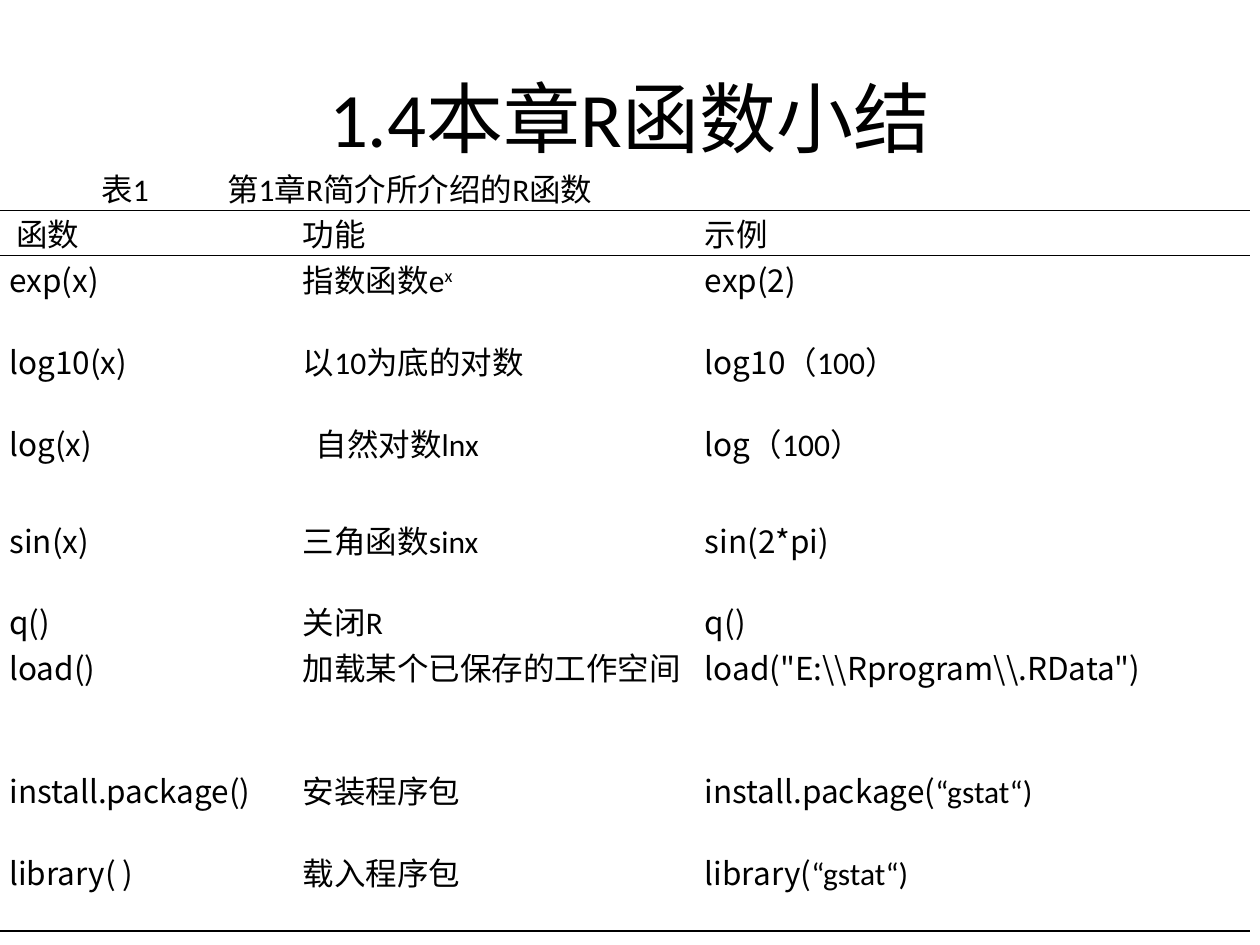
from dataclasses import dataclass

from lxml import etree
from pptx import Presentation
from pptx.dml.color import RGBColor
from pptx.enum.text import MSO_ANCHOR, PP_ALIGN
from pptx.oxml.ns import qn
from pptx.util import Inches, Pt

CENTER = PP_ALIGN.CENTER
MIDDLE = MSO_ANCHOR.MIDDLE
BODY = "Calibri"
CODE = "Noto Sans CJK SC"
BLACK = "000000"
COLUMN_WIDTHS = (2.33, 3.19, 4.4)
SIDE_MARGIN = Pt(5.4)
CAPTION_GAP = 40.7


@dataclass(frozen=True)
class Span:
    text: str
    font: str = BODY
    superscript: bool = False
    spacing: float = 0


@dataclass(frozen=True)
class Entry:
    spans: tuple[Span, ...] = ()
    indent: float = 0


@dataclass(frozen=True)
class Row:
    height: float
    entries: tuple[Entry, ...]


def code(text: str, tail: str = "") -> Entry:
    spans = (Span(text, CODE),)
    return Entry(spans + (Span(tail),) if tail else spans)


def body(text: str, indent: float = 0) -> Entry:
    return Entry((Span(text),), indent)


CAPTION = Entry((Span("表1"), Span(" ", spacing=CAPTION_GAP),
                 Span("第1章R简介所介绍的R函数")), 0.73)
ROWS = (
    Row(0.36, (CAPTION, Entry(), Entry())),
    Row(0.36, (Entry((Span(" ", CODE), Span("函数"))), body("功能"), body("示例"))),
    Row(0.65, (code("exp(x)"),
               Entry((Span("指数函数e"), Span("x", superscript=True))),
               code("exp(2)"))),
    Row(0.65, (code("log10(x)"), body("以10为底的对数"), code("log10", "（100）"))),
    Row(0.41, (code("log(x)"), body("自然对数lnx", 0.1), code("log", "（100）"))),
    Row(0.36, (Entry(), Entry(), Entry())),
    Row(0.65, (code("sin(x)"), body("三角函数sinx"), code("sin(2*pi)"))),
    Row(0.36, (code("q()"), body("关闭R"), code("q()"))),
    Row(0.98, (code("load()"), body("加载某个已保存的工作空间"),
               code('load("E:\\\\Rprogram\\\\.RData")'))),
    Row(0.65, (code("install.package()"), body("安装程序包"),
               code("install.package(", "“gstat“)"))),
    Row(0.65, (code("library( )"), body("载入程序包"), code("library(", "“gstat“)"))),
)
RULED_EDGES = {1, 2, len(ROWS)}


def color(value: str) -> RGBColor:
    return RGBColor.from_string(value)


def write_entry(para, entry: Entry, size: float) -> None:
    para.font.size = Pt(size)
    para.font.color.rgb = color(BLACK)
    fonts = {span.font for span in entry.spans}
    if len(fonts) == 1:
        para.font.name = fonts.pop()
    for item in entry.spans:
        span = para.add_run()
        span.text = item.text
        if fonts:
            span.font.name = item.font
        if item.superscript:
            span._r.get_or_add_rPr().set("baseline", "30000")
        if item.spacing:
            span._r.get_or_add_rPr().set("spc", str(round(item.spacing * 100)))
    if entry.indent:
        properties = para._p.get_or_add_pPr()
        properties.set("marL", "0")
        properties.set("indent", str(Inches(entry.indent)))


def set_borders(cell, top: bool, bottom: bool) -> None:
    properties = cell._tc.get_or_add_tcPr()
    edges = (("lnL", False), ("lnR", False), ("lnT", top), ("lnB", bottom))
    for index, (edge, ruled) in enumerate(edges):
        line = etree.Element(qn(f"a:{edge}"), w=str(Pt(1)))
        if ruled:
            fill = etree.SubElement(line, qn("a:solidFill"))
            etree.SubElement(fill, qn("a:srgbClr"), val=BLACK)
        else:
            etree.SubElement(line, qn("a:noFill"))
        properties.insert(index, line)


def add_title(page, text: str) -> None:
    box = page.shapes.add_textbox(Inches(0.5), Inches(0.3), Inches(9), Inches(1.25))
    frame = box.text_frame
    frame.word_wrap = True
    frame.vertical_anchor = MIDDLE
    para = frame.paragraphs[0]
    para.alignment = CENTER
    write_entry(para, body(text), 44)


def add_function_table(page) -> None:
    frame = page.shapes.add_table(
        len(ROWS), len(COLUMN_WIDTHS), Inches(0), Inches(1.31),
        Inches(sum(COLUMN_WIDTHS)), Inches(sum(row.height for row in ROWS)))
    table = frame.table
    table.first_row = False
    table.horz_banding = False
    for column, width in zip(table.columns, COLUMN_WIDTHS):
        column.width = Inches(width)
    for row_index, row in enumerate(ROWS):
        table.rows[row_index].height = Inches(row.height)
        for column_index, entry in enumerate(row.entries):
            cell = table.cell(row_index, column_index)
            cell.margin_left = cell.margin_right = SIDE_MARGIN
            cell.margin_top = cell.margin_bottom = Inches(0)
            cell.fill.background()
            set_borders(cell, row_index in RULED_EDGES, row_index + 1 in RULED_EDGES)
            write_entry(cell.text_frame.paragraphs[0], entry, 18)
    table.cell(0, 0).merge(table.cell(0, len(COLUMN_WIDTHS) - 1))


def main() -> None:
    deck = Presentation()
    deck.slide_width = Inches(10)
    deck.slide_height = Inches(7.5)
    page = deck.slides.add_slide(deck.slide_layouts[6])
    add_title(page, "1.4本章R函数小结")
    add_function_table(page)
    deck.save("out.pptx")


if __name__ == "__main__":
    main()
